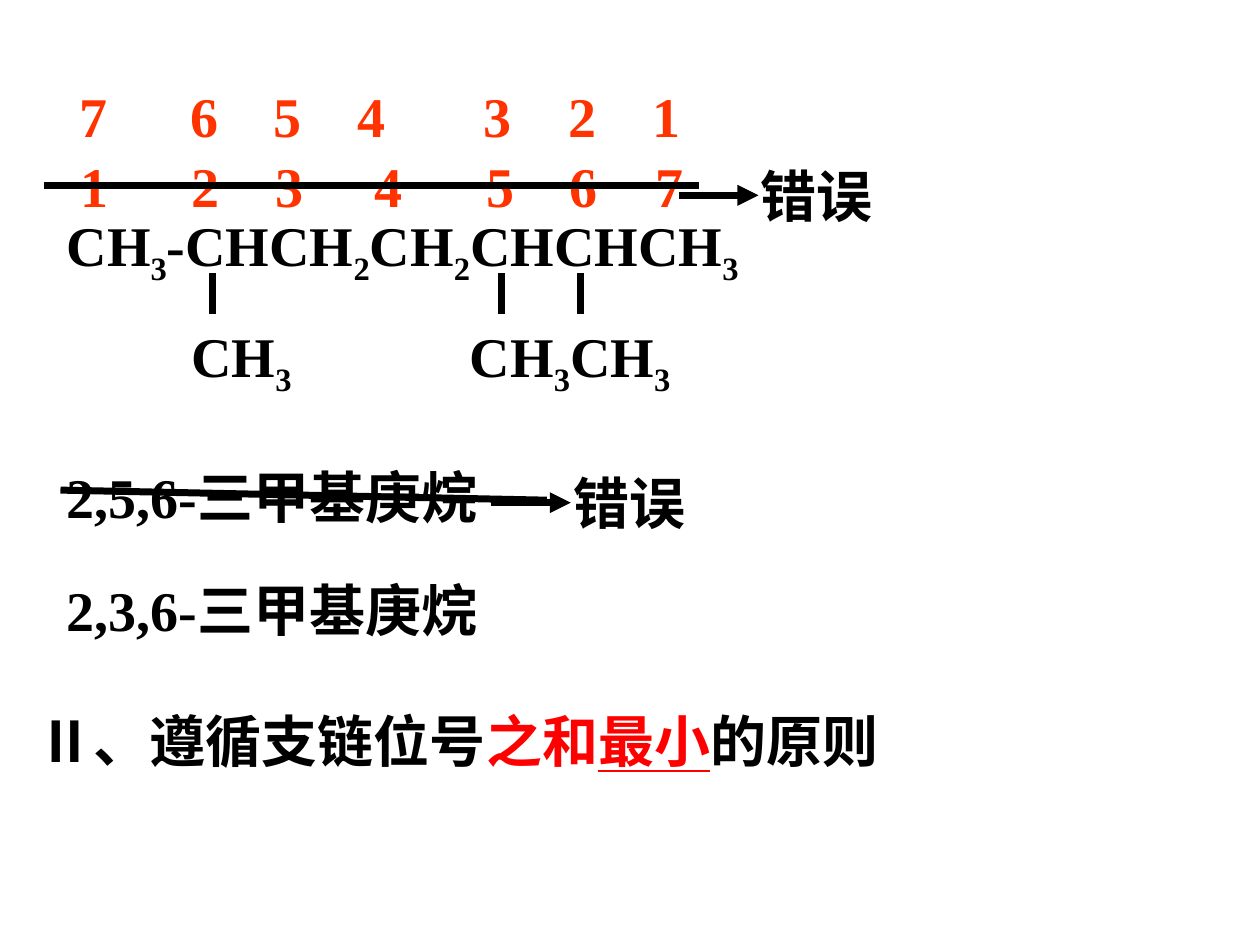
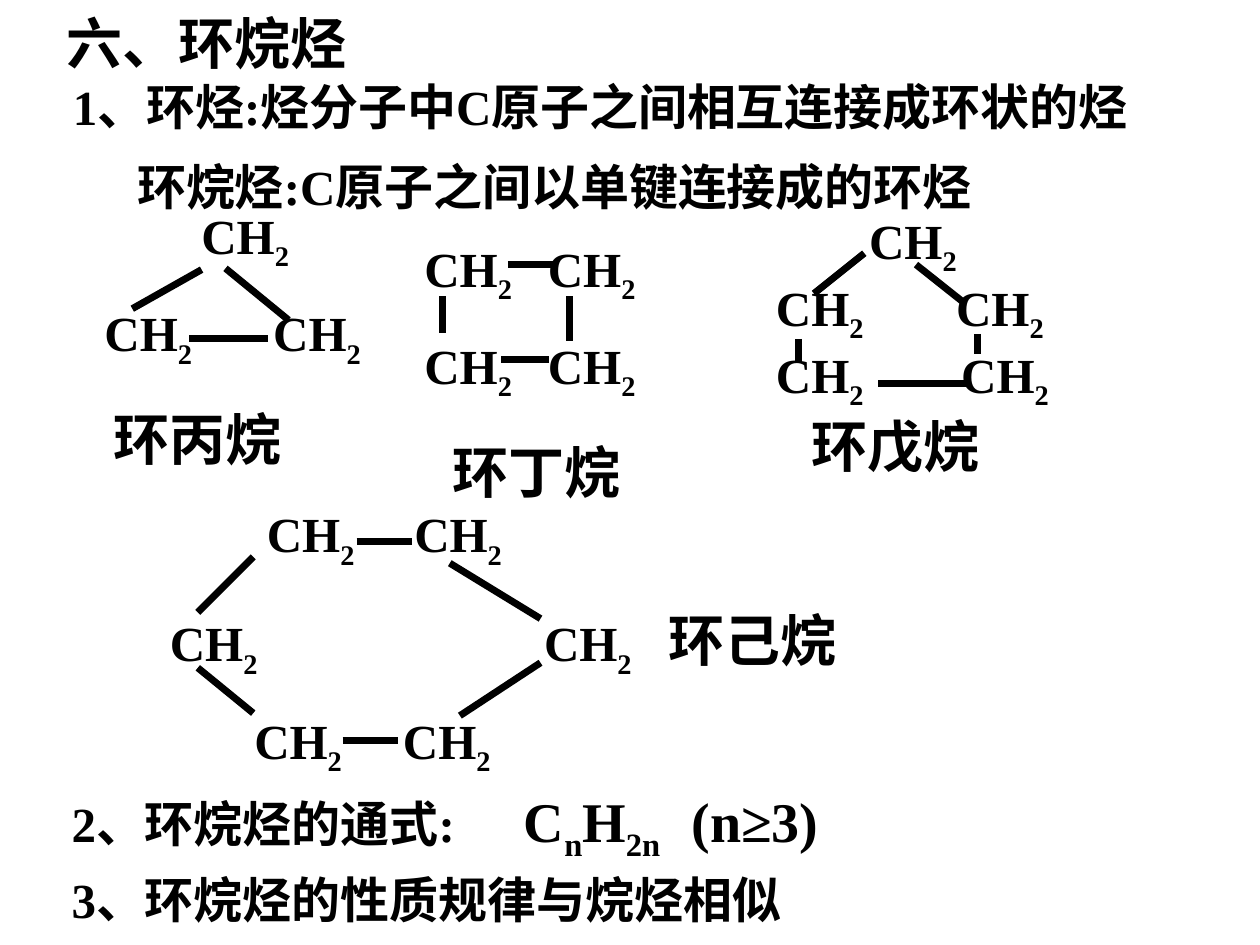
"""Build two chemistry slides: naming a branched alkane, and cycloalkanes."""
from lxml import etree
from pptx import Presentation, util as u
from pptx.dml.color import RGBColor
from pptx.enum import shapes, text
from pptx.oxml.ns import qn

BLACK = RGBColor(0, 0, 0)
RED = RGBColor(255, 0, 0)
CORAL = RGBColor(255, 51, 0)
SERIF, HAN = "Times New Roman", "Noto Sans CJK SC"

deck = Presentation()
deck.slide_width, deck.slide_height = u.Inches(10), u.Inches(7.5)
COL, ROW = deck.slide_width / 100, deck.slide_height / 75


def note(page, x, y, wide, high, lines, ink=BLACK):
    """Lines hold text, tab stops, size and space before; | parts runs, _ marks a subscript."""
    box = page.shapes.add_textbox(int(x * COL), int(y * ROW), int(wide * COL), int(high * ROW))
    frame = box.text_frame
    frame.word_wrap = True
    frame.vertical_anchor = text.MSO_ANCHOR.TOP
    for row, (words, stops, size, gap) in enumerate(lines):
        para = frame.add_paragraph() if row else frame.paragraphs[0]
        para.space_before = u.Pt(gap)
        if stops:
            tabs = etree.SubElement(para._p.get_or_add_pPr(), qn("a:tabLst"))
            for stop in stops:
                etree.SubElement(tabs, qn("a:tab"), pos=str(int(stop * COL)), algn="l")
        for part in words.split("|"):
            run = para.add_run()
            run.text = part.lstrip("_")
            font = run.font
            font.size, font.bold, font.name = u.Pt(size), True, SERIF
            font.color.rgb = ink
            etree.SubElement(run._r.rPr, qn("a:ea"), typeface=HAN)
            if part.startswith("_"):
                run._r.rPr.set("baseline", "-25000")
    return frame


def bond(page, x1, y1, x2, y2, arrow=False):
    """Draw a thick line, with an arrowhead at its end if asked."""
    line = page.shapes.add_connector(shapes.MSO_CONNECTOR.STRAIGHT, int(x1 * COL),
                                     int(y1 * ROW), int(x2 * COL), int(y2 * ROW))
    line.line.color.rgb, line.line.width = BLACK, u.Pt(4)
    if arrow:
        etree.SubElement(line.line._get_or_add_ln(), qn("a:tailEnd"), type="triangle")
    etree.SubElement(line._element.spPr, qn("a:effectLst"))


blank = deck.slide_layouts[6]
page = deck.slides.add_slide(blank)
note(page, 4.3, 16.2, 92.9, 15.9, [
    ("CH|_3|-CHCH|_2|CH|_2|CHCHCH|_3", [], 32, 0),
    ("\tCH|_3|\tCH|_3|CH|_3", [9.9, 32], 32, 20)])
for x in (16.9, 39.8, 46.1):
    bond(page, x, 21.7, x, 24.9)
note(page, 4.3, 11.5, 88.2, 6.4,
     [("\t" + "\t".join("1234567"), [1.1, 9.9, 16.6, 24.4, 33.3, 39.9, 46.7], 32, 0)], CORAL)
note(page, 2.7, 6, 57.5, 6.4,
     [("\t" + "\t".join("7654321"), [2.6, 11.4, 18, 24.7, 34.7, 41.4, 48.1], 32, 0)], CORAL)
for y, spots in ((36.2, "2,5,6-"), (45.2, "2,3,6-")):
    note(page, 4.3, y, 92, 6.4, [(spots + "|三甲基庚烷", [], 32, 0)])
rule = note(page, 2, 55.6, 95.3, 6.4, [("Ⅱ、遵循支链位号|之和|最小|的原则", [], 32, 0)])
for run in rule.paragraphs[0].runs[1:3]:
    run.font.color.rgb = RED
rule.paragraphs[0].runs[2].font.underline = True
for x, y in ((53.9, 15.5), (39, 39.9)):
    bond(page, x, y, x + 6.3, y, True)
    note(page, x + 5.5, y - 3.2, 18.1, 6.4, [("错误", [], 32, 0)])
bond(page, 3.5, 14.7, 55.5, 14.7)
bond(page, 4.8, 38.9, 43.4, 39.7)

page = deck.slides.add_slide(blank)
for x, y, wide, words, size in (
        (4.3, 0.2, 95.7, "六、环烷烃", 32),
        (4.8, 5.6, 95, "1、环烃:烃分子中C原子之间相互连接成环状的烃", 28),
        (9.9, 11.9, 90, "环烷烃:C原子之间以单键连接成的环烃", 28),
        (4.7, 62.5, 95.3, "2、|环烷烃的通式|:", 28),
        (4.7, 68.5, 90.6, "3、|环烷烃的性质规律与烷烃相似", 28),
        (40.6, 61.9, 15, "C|_n|H|_2n", 32),
        (53.9, 61.9, 23.6, "(n≥3)", 32)):
    note(page, x, y, wide, 6.4, [(words, [], size, 0)])

ONE, TWO = "\tCH|_2", "\tCH|_2|\tCH|_2"
note(page, 3.9, 15.8, 36.2, 24, [
    (ONE, [11.1], 28, 0), (TWO, [3.4, 16.8], 28, 17.5), ("\t环丙烷", [4.1], 32, 20)])
note(page, 32.7, 18.4, 50.4, 22.9, [
    ("CH|_2|\tCH|_2", [9.8], 28, 0), ("CH|_2|\tCH|_2", [9.8], 28, 17.5),
    ("\t环丁烷", [2.2], 32, 20)])
note(page, 59.4, 16.2, 34.7, 24.7, [
    (ONE, [8.6], 28, 0), (TWO, [1.2, 15.5], 28, 0), (TWO, [1.2, 15.9], 28, 0),
    ("\t环戊烷", [4], 32, 0)])
ring = note(page, 10.3, 39.5, 62.4, 24, [
    (TWO, [9.9, 21.6], 28, 0), (TWO + "|\t环己烷", [2.2, 31.9, 41.8], 28, 20),
    (TWO, [8.9, 20.7], 28, 17.5)])
ring.paragraphs[1].runs[-1].font.size = u.Pt(32)

for ends in (
        (16, 21.4, 10.5, 24.5), (17.9, 21.3, 22.9, 25.4), (15, 26.9, 21.3, 26.9),
        (35.1, 23.5, 35.1, 26.4), (40.3, 21, 44, 21), (45.2, 23.5, 45.2, 27.1),
        (39.8, 28.5, 43.6, 28.5),
        (68.6, 20.1, 64.6, 23.3), (63.4, 26.9, 63.4, 28.8), (69.7, 30.4, 76.8, 30.4),
        (77.6, 26.5, 77.6, 28.1), (72.7, 21, 76.6, 24.1),
        (15.7, 53, 20.1, 56.6), (27.2, 58.8, 31.6, 58.8), (35.7, 44.7, 42.9, 49.1),
        (28.3, 43, 32.7, 43), (20.1, 44.2, 15.7, 48.6), (36.5, 56.8, 42.9, 52.6)):
    bond(page, *ends)

deck.save("out.pptx")
